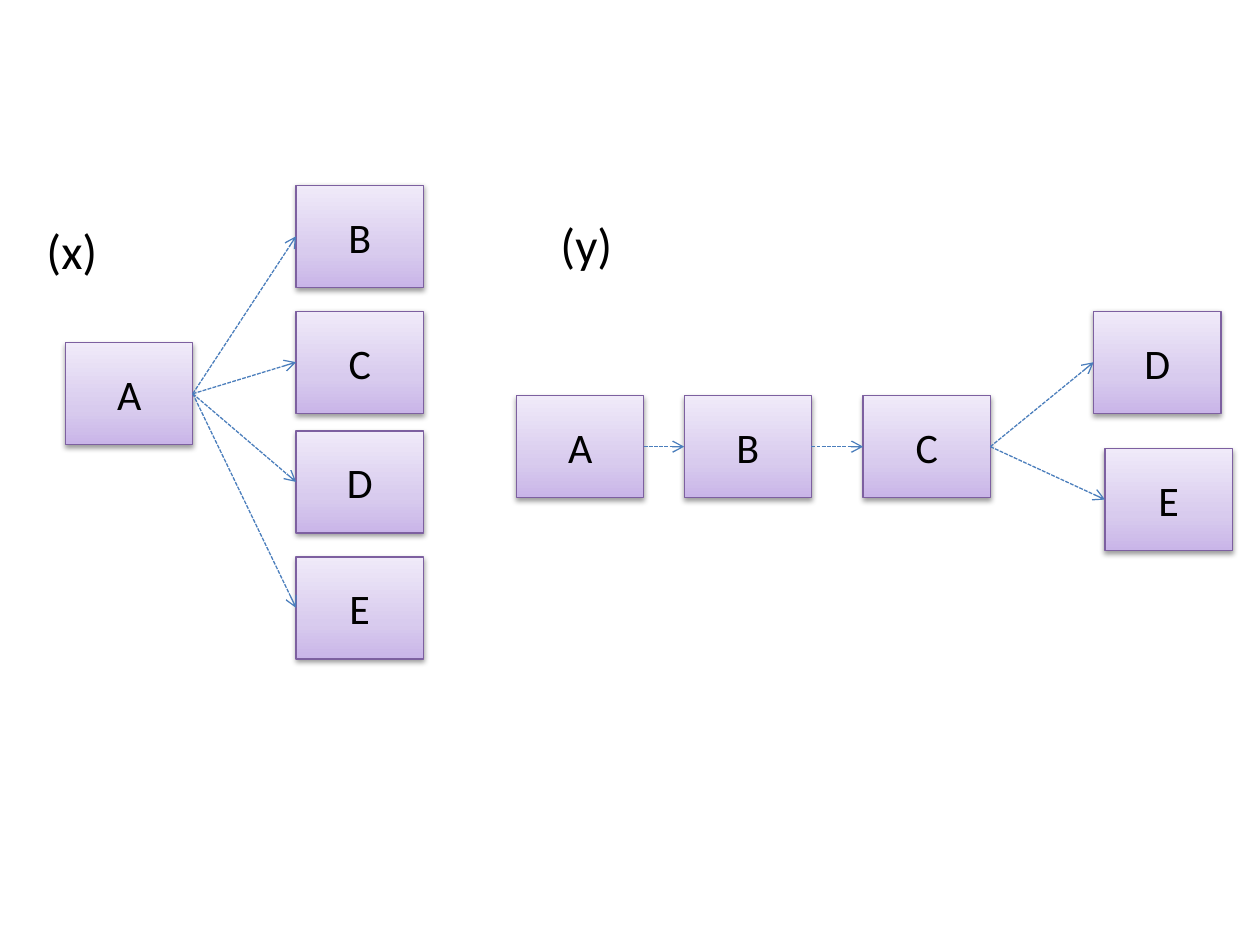
from lxml import etree
from pptx import Presentation
from pptx.dml.color import RGBColor
from pptx.enum.dml import MSO_LINE
from pptx.enum.shapes import MSO_CONNECTOR, MSO_SHAPE
from pptx.enum.text import MSO_ANCHOR, MSO_AUTO_SIZE, PP_ALIGN
from pptx.oxml import parse_xml
from pptx.oxml.ns import nsdecls, qn
from pptx.util import Inches, Pt

RECT = MSO_SHAPE.RECTANGLE
STRAIGHT = MSO_CONNECTOR.STRAIGHT
DASH = MSO_LINE.SQUARE_DOT
CENTER = PP_ALIGN.CENTER
MIDDLE = MSO_ANCHOR.MIDDLE
GROW = MSO_AUTO_SIZE.SHAPE_TO_FIT_TEXT
LEFT, RIGHT = 1, 3  # connection sites of a rectangle

# Content: each graph has a label, its nodes and its links
GRAPHS = [
    {"label": ("(x)", 0.27, 1.7, 0.92),
     "nodes": {"A": (0.52, 2.72), "B": (2.35, 1.47), "C": (2.35, 2.47),
               "D": (2.35, 3.42), "E": (2.35, 4.42)},
     "links": ["AB", "AC", "AD", "AE"]},
    {"label": ("(y)", 4.35, 1.65, 0.76),
     "nodes": {"A": (4.1, 3.14), "B": (5.43, 3.14), "C": (6.85, 3.14),
               "D": (8.68, 2.47), "E": (8.77, 3.56)},
     "links": ["AB", "BC", "CD", "CE"]},
]
COLORS = {"edge": "7D60A0", "link": "4B7EBC", "text": "000000"}
STOPS = [(0, "C9B5E8"), (35, "D8CBEE"), (100, "F0EAF9")]
NODE_W, NODE_H = 1.01, 0.81
FONT = "Calibri"


def rgb(name):
    return RGBColor.from_string(COLORS[name])


def write(frame, text, size):
    frame.word_wrap = True
    frame.auto_size = GROW
    frame.text = text
    font = frame.paragraphs[0].runs[0].font
    font.name, font.size = FONT, Pt(size)
    font.color.rgb = rgb("text")


def add_node(slide, name, x, y):
    node = slide.shapes.add_shape(
        RECT, Inches(x), Inches(y), Inches(NODE_W), Inches(NODE_H))
    node.line.color.rgb = rgb("edge")
    node.line.width = Pt(0.75)

    # Gradient from bottom to top, and a soft shadow below
    stops = "".join(
        f'<a:gs pos="{pos * 1000}"><a:srgbClr val="{color}"/></a:gs>'
        for pos, color in STOPS)
    props = node._element.spPr
    props.find(qn("a:prstGeom")).addnext(parse_xml(
        f'<a:gradFill {nsdecls("a")} rotWithShape="1"><a:gsLst>{stops}</a:gsLst>'
        '<a:lin ang="16200000" scaled="1"/></a:gradFill>'))
    props.append(parse_xml(
        f'<a:effectLst {nsdecls("a")}><a:outerShdw blurRad="{Pt(3.1)}" '
        f'dist="{Pt(1.6)}" dir="5400000" rotWithShape="0">'
        '<a:srgbClr val="000000"><a:alpha val="38000"/></a:srgbClr>'
        '</a:outerShdw></a:effectLst>'))

    frame = node.text_frame
    write(frame, name, 24)
    frame.margin_top = frame.margin_bottom = Inches(0.2)
    frame.vertical_anchor = MIDDLE
    frame.paragraphs[0].alignment = CENTER
    return node


def add_link(slide, start, end):
    link = slide.shapes.add_connector(STRAIGHT, 0, 0, 0, 0)
    link.begin_connect(start, RIGHT)
    link.end_connect(end, LEFT)
    link.line.color.rgb = rgb("link")
    link.line.width = Pt(0.75)
    link.line.dash_style = DASH
    etree.SubElement(link.line._get_or_add_ln(), qn("a:tailEnd"), type="arrow")
    etree.SubElement(link._element.spPr, qn("a:effectLst"))


def main():
    prs = Presentation()
    prs.slide_width, prs.slide_height = Inches(10), Inches(7.5)
    slide = prs.slides.add_slide(prs.slide_layouts[6])

    for graph in GRAPHS:
        nodes = {name: add_node(slide, name, x, y)
                 for name, (x, y) in graph["nodes"].items()}
        for start, end in graph["links"]:
            add_link(slide, nodes[start], nodes[end])
        text, x, y, width = graph["label"]
        box = slide.shapes.add_textbox(
            Inches(x), Inches(y), Inches(width), Inches(0.57))
        write(box.text_frame, text, 28)

    prs.save("out.pptx")


if __name__ == "__main__":
    main()
